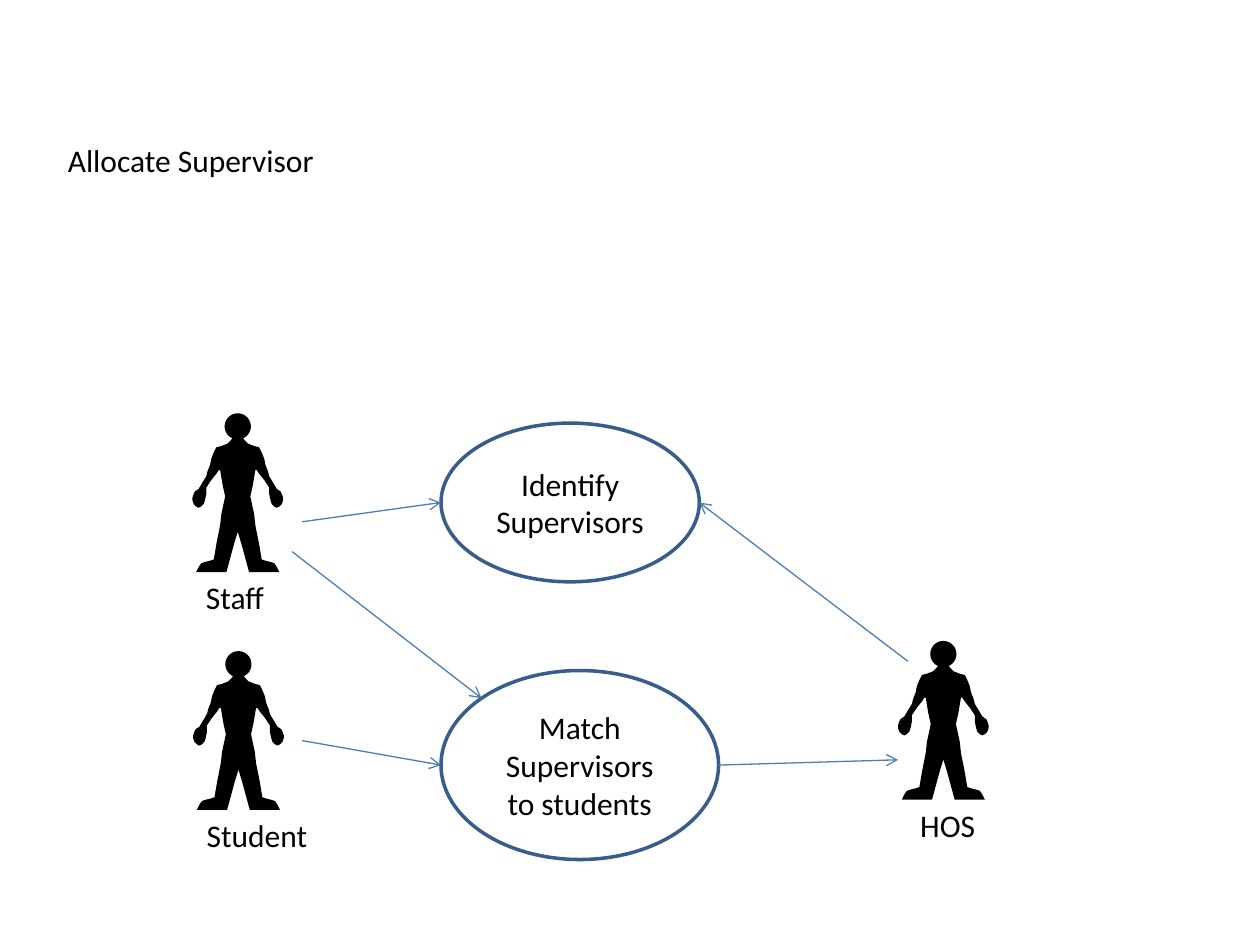
import math
import pptx
import pptx.dml.color
import pptx.enum.shapes
import pptx.enum.text
import pptx.util
from lxml import etree

Pt = pptx.util.Pt
ALIGN = pptx.enum.text.PP_ALIGN
ANCHOR = pptx.enum.text.MSO_ANCHOR
COLORS = {"ink": "000000", "edge": "385D8A", "arrow": "4A7EBB"}
FONT = {"name": "Calibri", "size": Pt(18)}
INSETS = {"margin_left": Pt(7.2), "margin_right": Pt(7.2),
          "margin_top": Pt(3.6), "margin_bottom": Pt(3.6)}

# Right half of the body from neck to crotch, in 1/100 inch:
# x from the centre line, y from the top of the head
BODY = [(6, 22), (8, 24), (13, 26), (17, 27), (19, 31), (21, 36), (22, 41),
        (24, 46), (25, 50), (28, 55), (31, 60), (34, 62), (35, 64), (36, 67),
        (36, 69), (35, 72), (33, 74), (31, 75), (29, 74), (27, 72), (26, 69),
        (25, 64), (25, 59), (21, 53), (17, 48), (15, 45), (14, 45), (12, 57),
        (10, 66), (13, 80), (14, 89), (17, 104), (19, 116), (22, 117),
        (26, 118), (29, 119), (31, 122), (33, 126), (9, 126), (3, 104),
        (0, 94)]
HEAD = 10.4  # radius of the head


def color(name):
    return pptx.dml.color.RGBColor.from_string(COLORS[name])


def apply(target, values):
    for key, value in values.items():
        setattr(target, key, value)


def write(frame, text, wrap=False, align=ALIGN.LEFT, anchor=ANCHOR.TOP):
    apply(frame, {**INSETS, "word_wrap": wrap, "vertical_anchor": anchor})
    para = frame.paragraphs[0]
    para.text = text
    para.alignment = align
    font = para.runs[0].font
    apply(font, FONT)
    font.color.rgb = color("ink")


def label(slide, box, text):
    shape = slide.shapes.add_textbox(*map(Pt, box))
    write(shape.text_frame, text)
    shape.text_frame.auto_size = pptx.enum.text.MSO_AUTO_SIZE.SHAPE_TO_FIT_TEXT


def person(slide, box, name, span, shift=0.6):
    """Figure filling the box, with its name in a label of width span below."""
    left, top, width, height = box
    # Head arc, then body, then the mirrored left half
    arc = [(HEAD * math.sin(math.radians(a)), HEAD * (1 - math.cos(math.radians(a))))
           for a in range(0, 160, 12)]
    half = arc + BODY
    points = half + [(-x, y) for x, y in reversed(half[1:-1])]
    unit = height / 126
    # Path grid of 1/100 point
    path = [(100 * (width / 2 + x * unit), 100 * y * unit) for x, y in points]
    build = slide.shapes.build_freeform(*path[0], scale=Pt(1) / 100)
    build.add_line_segments(path[1:], close=True)
    shape = build.convert_to_shape(Pt(left), Pt(top))
    shape.shadow.inherit = False
    shape.fill.solid()
    shape.fill.fore_color.rgb = color("ink")
    shape.line.fill.background()
    label(slide, (left + shift, top + height, span, 28.8), name)


def oval(slide, box, text):
    kind = pptx.enum.shapes.MSO_SHAPE.OVAL
    shape = slide.shapes.add_shape(kind, *map(Pt, box))
    shape.shadow.inherit = False
    shape.fill.background()
    shape.line.color.rgb = color("edge")
    shape.line.width = Pt(2)
    write(shape.text_frame, text, True, ALIGN.CENTER, ANCHOR.MIDDLE)


def arrow(slide, start, end):
    kind = pptx.enum.shapes.MSO_CONNECTOR.STRAIGHT
    link = slide.shapes.add_connector(kind, *map(Pt, start + end))
    link.line.color.rgb = color("arrow")
    link.line.width = Pt(0.75)
    qn = pptx.oxml.ns.qn
    props = link.line._get_or_add_ln()
    etree.SubElement(props, qn("a:tailEnd"), type="arrow")
    etree.SubElement(link._element.spPr, qn("a:effectLst"))


def side(box, across, angle=0):
    """Point on an oval's edge: across is -1 for left, 1 for right."""
    left, top, width, height = box
    turn = math.radians(angle)
    return (left + width / 2 * (1 + across * math.cos(turn)),
            top + height / 2 * (1 - math.sin(turn)))


def diagram(slide, box):
    left, top, width, height = box
    size = (51.8, 90.7)
    find = (left + 142, top + 5.6, 147.6, 90.7)
    match = (left + 142, top + 147, 158.6, 108)

    # Use cases
    oval(slide, find, "Identify Supervisors")
    oval(slide, match, "Match Supervisors to students")

    # Actors
    person(slide, (left, top, *size), "Staff", 48)
    person(slide, (left + 0.4, top + 135.9, *size), "Student", 72)
    hos = left + width - size[0]
    person(slide, (hos, top + 130.1, *size), "HOS", 50, 5.6)

    # Links
    arrow(slide, (left + 62.6, top + 62), side(find, -1))
    arrow(slide, (left + 62.6, top + 187), side(match, -1))
    arrow(slide, (left + 56.9, top + 79), side(match, -1, 45))
    arrow(slide, (hos + 5.6, top + 141.7), side(find, 1))
    arrow(slide, side(match, 1), (hos, top + 198))


def main():
    deck = pptx.Presentation()
    apply(deck, {"slide_width": Pt(720), "slide_height": Pt(540)})
    slide = deck.slides.add_slide(deck.slide_layouts[6])
    label(slide, (31.7, 77.3, 155.5, 28.8), "Allocate Supervisor")
    diagram(slide, (110, 236.2, 455, 255))
    deck.save("out.pptx")


if __name__ == "__main__":
    main()
